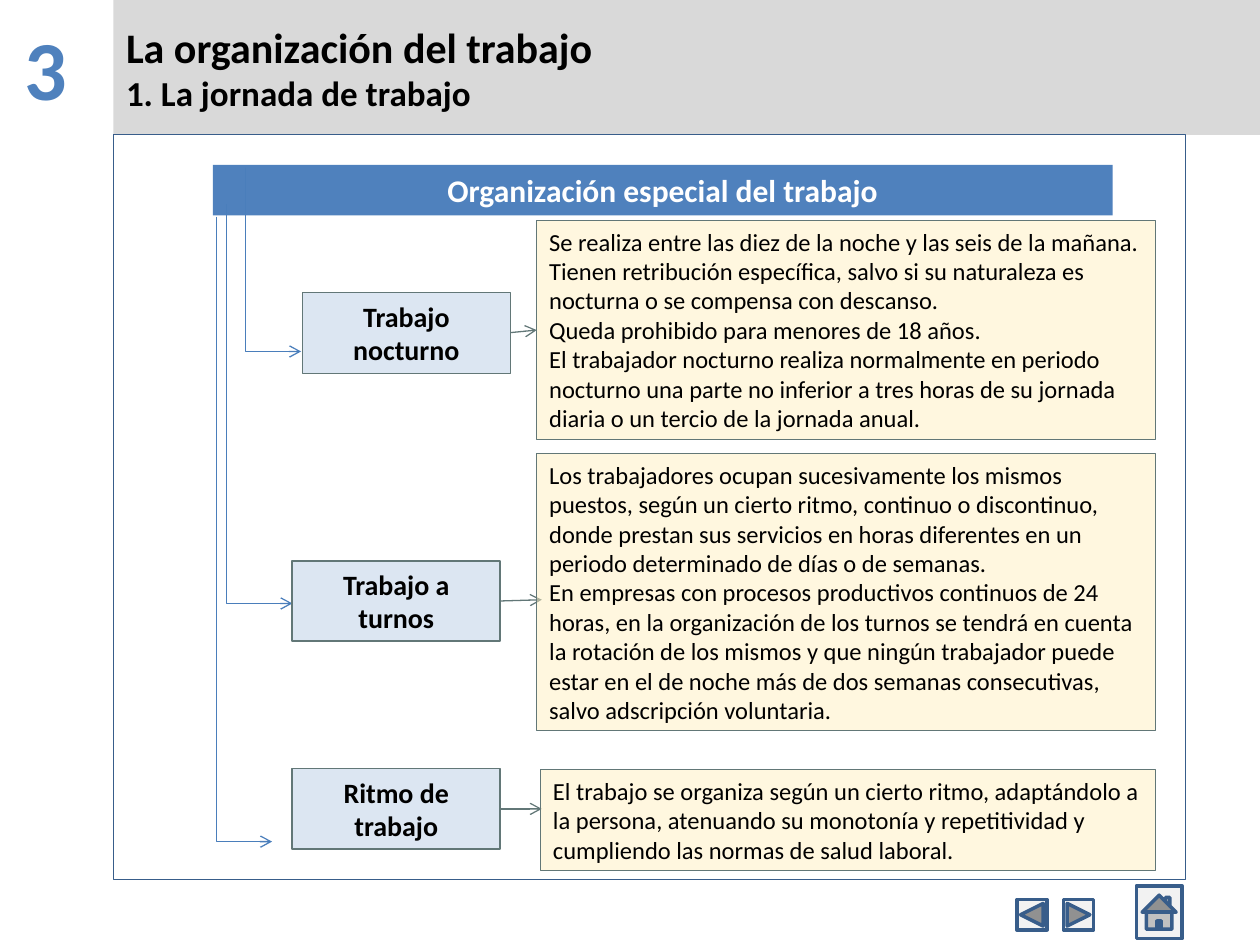
from lxml import etree
from pptx import Presentation
from pptx.dml.color import RGBColor
from pptx.enum.shapes import MSO_CONNECTOR as CONN, MSO_SHAPE as SHAPE
from pptx.enum.text import MSO_ANCHOR as ANCHOR, MSO_AUTO_SIZE as AUTO, PP_ALIGN as ALIGN
from pptx.oxml.ns import qn
from pptx.util import Inches, Pt

BLUE = RGBColor(0x4F, 0x81, 0xBD)
ARROW_BLUE = RGBColor(0x4A, 0x7E, 0xBB)
NAVY = RGBColor(0x38, 0x5D, 0x8A)
SLATE = RGBColor(0x62, 0x77, 0x77)
PALE_BLUE = RGBColor(0xDC, 0xE6, 0xF2)
CREAM = RGBColor(0xFF, 0xF0, 0xC1)
GREY = RGBColor(0xD9, 0xD9, 0xD9)
LIGHT = RGBColor(0xF2, 0xF2, 0xF2)
BLACK = RGBColor(0, 0, 0)
WHITE = RGBColor(0xFF, 0xFF, 0xFF)

NUMBER = {"size": Pt(48), "bold": True, "color": BLUE}
TITLE = {"size": Pt(24), "bold": True, "color": BLACK}
SUBTITLE = {**TITLE, "size": Pt(20)}
HEADING = {"size": Pt(18), "bold": True, "color": WHITE}
LABEL = {"size": Pt(16), "bold": True, "color": BLACK}
BODY = {"size": Pt(14), "bold": False, "color": BLACK}

ROWS = [
    ("Trabajo nocturno", (2.4, 2.32), 0.25, (4.26, 1.75, 4.91, 1.74), (4.26, 2.62), [
        "Se realiza entre las diez de la noche y las seis de la mañana.",
        "Tienen retribución específica, salvo si su naturaleza es nocturna o se "
        "compensa con descanso.",
        "Queda prohibido para menores de 18 años.",
        "El trabajador nocturno realiza normalmente en periodo nocturno una parte no "
        "inferior a tres horas de su jornada diaria o un tercio de la jornada anual.",
    ]),
    ("Trabajo a turnos", (2.32, 4.45), 1, (4.26, 3.6, 4.91, 2.2), (4.3, 4.76), [
        "Los trabajadores ocupan sucesivamente los mismos puestos, según un cierto "
        "ritmo, continuo o discontinuo, donde prestan sus servicios en horas "
        "diferentes en un periodo determinado de días o de semanas.",
        "En empresas con procesos productivos continuos de 24 horas, en la organización "
        "de los turnos se tendrá en cuenta la rotación de los mismos y que ningún "
        "trabajador puede estar en el de noche más de dos semanas consecutivas, salvo "
        "adscripción voluntaria.",
    ]),
    ("Ritmo de trabajo", (2.32, 6.1), 1, (4.29, 6.11, 4.88, 0.8), (4.3, 6.42), [
        "El trabajo se organiza según un cierto ritmo, adaptándolo a la persona, "
        "atenuando su monotonía y repetitividad y cumpliendo las normas de salud "
        "laboral.",
    ]),
]
ELBOWS = [
    (1.72, 1.72, 2.16, 6.68),
    (1.8, 1.62, 2.32, 4.79),
    (1.95, 1.33, 2.39, 2.79),
]
BUTTONS = [
    (SHAPE.ACTION_BUTTON_BACK_OR_PREVIOUS, (8.07, 7.14, 0.24, 0.24)),
    (SHAPE.ACTION_BUTTON_FORWARD_OR_NEXT, (8.44, 7.14, 0.24, 0.24)),
    (SHAPE.ACTION_BUTTON_HOME, (9.02, 7.03, 0.36, 0.42)),
]


def add_run(p, text, style):
    r = p.add_run()
    r.text = text
    r.font.name = "Calibri"
    for name, value in style.items():
        if name == "color":
            r.font.color.rgb = value
        else:
            setattr(r.font, name, value)


def write(sp, lines, align=ALIGN.LEFT, anchor=ANCHOR.TOP):
    tf = sp.text_frame
    frame_format = {
        "word_wrap": True, "auto_size": AUTO.NONE, "vertical_anchor": anchor,
        "margin_left": Inches(0.1), "margin_right": Inches(0.1),
        "margin_top": Inches(0.05), "margin_bottom": Inches(0.05),
    }
    for name, value in frame_format.items():
        setattr(tf, name, value)
    for i, (text, style) in enumerate(lines):
        p = tf.add_paragraph() if i else tf.paragraphs[0]
        p.alignment = align
        add_run(p, text, style)


def add_box(s, at, fill=None, line=None, width=0.75, kind=SHAPE.RECTANGLE):
    sp = s.shapes.add_shape(kind, *map(Inches, at))
    sp.shadow.inherit = False
    if fill is None:
        sp.fill.background()
    else:
        sp.fill.solid()
        sp.fill.fore_color.rgb = fill
    if line is None:
        sp.line.fill.background()
    else:
        sp.line.color.rgb = line
        sp.line.width = Pt(width)
    return sp


def make_translucent(sp, percent):
    color = sp.fill._xPr.find(qn("a:solidFill"))[0]
    etree.SubElement(color, qn("a:alpha")).set("val", str(percent * 1000))


def add_arrow(s, start, end, color, kind=CONN.STRAIGHT):
    cn = s.shapes.add_connector(kind, *map(Inches, (*start, *end)))
    cn.line.color.rgb = color
    cn.line.width = Pt(0.75)
    etree.SubElement(cn.line._get_or_add_ln(), qn("a:tailEnd")).set("type", "arrow")
    etree.SubElement(cn._element.spPr, qn("a:effectLst"))
    return cn


def add_elbow(s, x1, y1, x2, y2):
    cx, cy = (x1 + x2) / 2, (y1 + y2) / 2
    dx, dy = (y2 - y1) / 2, (x2 - x1) / 2
    cn = add_arrow(s, (cx - dx, cy - dy), (cx + dx, cy + dy), ARROW_BLUE, CONN.ELBOW)
    spPr = cn._element.spPr
    spPr.find(qn("a:prstGeom")).set("prst", "bentConnector2")
    xfrm = spPr.find(qn("a:xfrm"))
    xfrm.set("rot", str(270 * 60000))
    xfrm.set("flipH", "1")


def add_title(s):
    sp = s.shapes.title
    place = {"left": 0.9, "top": 0, "width": 9.1, "height": 1.07}
    for name, value in place.items():
        setattr(sp, name, Inches(value))
    sp.fill.solid()
    sp.fill.fore_color.rgb = GREY
    lines = [("La organización del trabajo", TITLE), ("1. La jornada de trabajo", SUBTITLE)]
    write(sp, lines, anchor=ANCHOR.MIDDLE)


def add_number(s):
    sp = s.shapes.add_textbox(0, 0, Inches(0.9), Inches(1))
    write(sp, [("3", NUMBER)], ALIGN.CENTER)
    add_run(sp.text_frame.paragraphs[0], " ", {**NUMBER, "size": Pt(54)})


def add_row(s, name, corner, width, detail_at, tip, texts):
    label = add_box(s, (*corner, 1.65, 0.64), PALE_BLUE, SLATE, width)
    write(label, [(name, LABEL)], ALIGN.CENTER, ANCHOR.MIDDLE)
    start = (corner[0] + 1.65, corner[1] + 0.32)
    arrow = add_arrow(s, start, tip, SLATE)
    arrow.begin_connect(label, 3)
    detail = add_box(s, detail_at, CREAM, SLATE)
    make_translucent(detail, 50)
    write(detail, [(text, BODY) for text in texts])
    left, top, _, height = detail_at
    if tip == (left, round(top + height / 2, 2)):
        arrow.end_connect(detail, 1)


def main():
    prs = Presentation()
    prs.slide_width, prs.slide_height = Inches(10), Inches(7.5)
    s = prs.slides.add_slide(prs.slide_layouts[5])
    add_title(s)
    add_number(s)
    add_box(s, (0.9, 1.07, 8.51, 5.91), line=NAVY)
    for kind, at in BUTTONS:
        add_box(s, at, LIGHT, NAVY, 2, kind)
    heading = add_box(s, (1.69, 1.31, 7.14, 0.4), BLUE)
    write(heading, [("Organización especial del trabajo", HEADING)], ALIGN.CENTER)
    for elbow in ELBOWS:
        add_elbow(s, *elbow)
    for row in ROWS:
        add_row(s, *row)
    prs.save("out.pptx")


if __name__ == "__main__":
    main()
